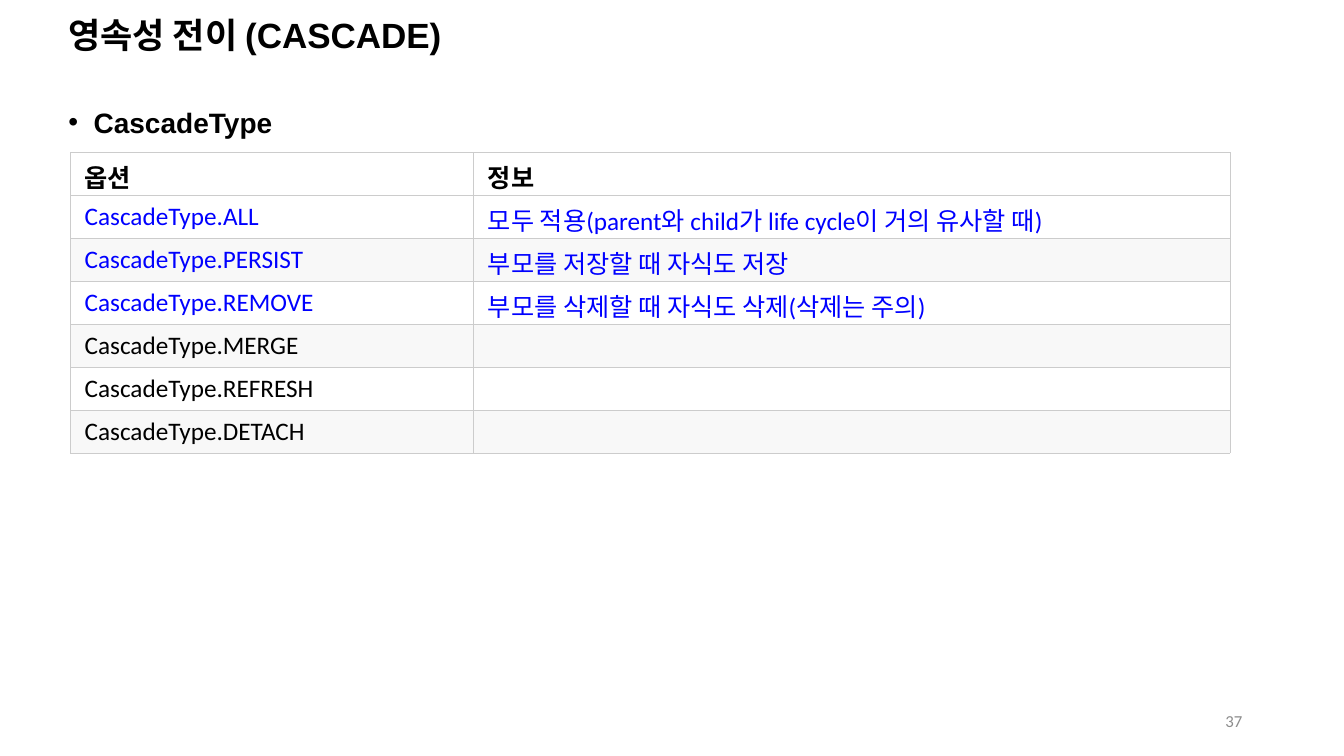
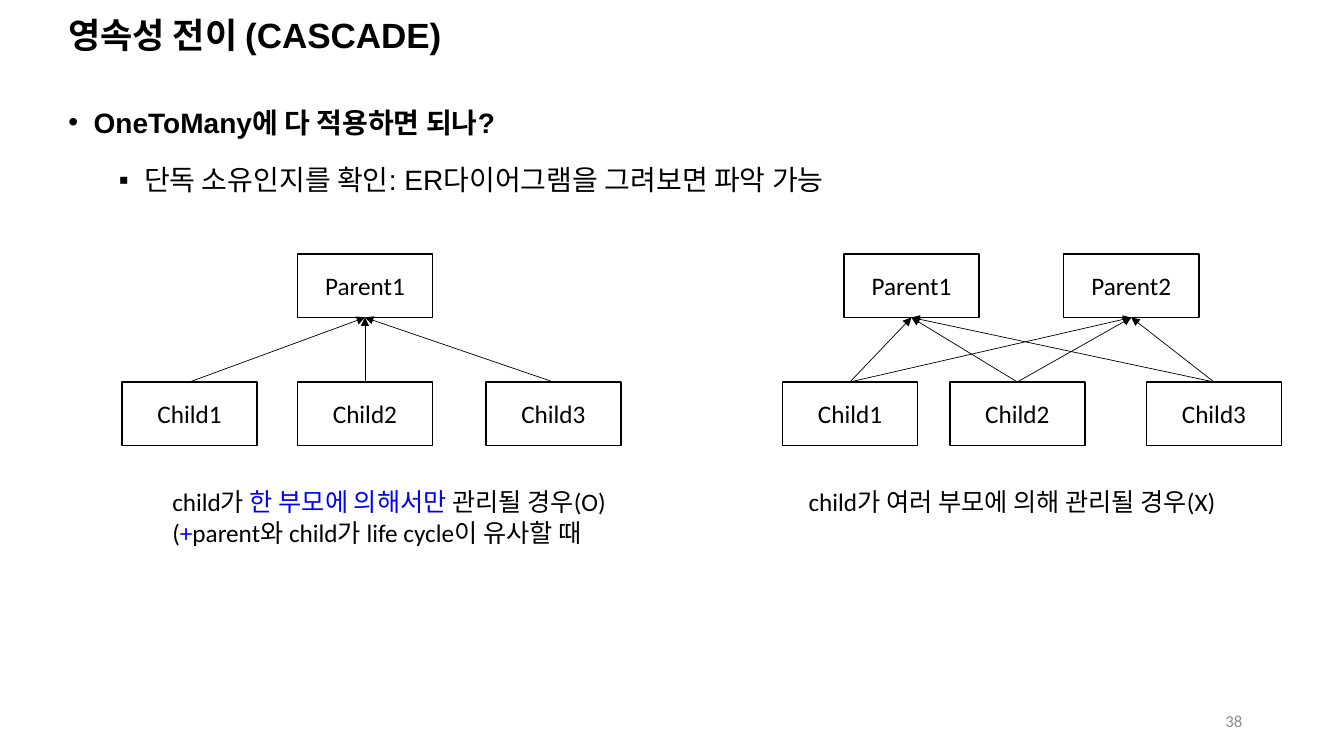
from lxml import etree
from pptx import Presentation
from pptx.dml.color import RGBColor
from pptx.enum.shapes import MSO_CONNECTOR, MSO_SHAPE
from pptx.enum.text import MSO_ANCHOR, MSO_AUTO_SIZE, PP_ALIGN
from pptx.oxml import parse_xml
from pptx.oxml.ns import nsdecls, qn
from pptx.util import Inches, Pt

BLACK = RGBColor(0x00, 0x00, 0x00)
WHITE = RGBColor(0xFF, 0xFF, 0xFF)
BLUE = RGBColor(0x00, 0x00, 0xFF)
GREY = RGBColor(0x8C, 0x8C, 0x8C)
BAND = RGBColor(0xF8, 0xF8, 0xF8)
BORDER = RGBColor(0xCC, 0xCC, 0xCC)
HEADING_FONT, TEXT_FONT = "Arial", "Calibri"

presentation = Presentation()
presentation.slide_width = Inches(13.33)
presentation.slide_height = Inches(7.5)
# Every length below is a percentage of the slide's width or height.
COLUMN = presentation.slide_width / 100
ROW = presentation.slide_height / 100


def place(left, top, width, height):
    """Turn shares of the slide into left, top, width and height."""
    return int(left * COLUMN), int(top * ROW), int(width * COLUMN), int(height * ROW)


def style(paragraph, size, color=BLACK, bold=False, name=TEXT_FONT):
    font = paragraph.font
    font.name, font.size, font.bold = name, Pt(size), bold
    font.color.rgb = color


# Title, bullets and page number
pages = [
    (37, ["CascadeType"]),
    (38, ["OneToMany에 다 적용하면 되나?",
          "단독 소유인지를 확인: ER다이어그램을 그려보면 파악 가능"]),
]
# Bullet, left margin in inches, bold
bullet_levels = [("•", 0.25, True), ("▪", 0.75, False)]
slides = []
for number, bullets in pages:
    slide = presentation.slides.add_slide(presentation.slide_layouts[5])
    slides.append(slide)

    title = slide.shapes.title
    title.left, title.top, title.width, title.height = place(4.35, 2.4, 86.27, 5.07)
    title.text_frame.text = "영속성 전이 (CASCADE)"
    title.text_frame.auto_size = MSO_AUTO_SIZE.NONE
    title.text_frame.vertical_anchor = MSO_ANCHOR.MIDDLE
    paragraph = title.text_frame.paragraphs[0]
    paragraph.alignment = PP_ALIGN.LEFT
    paragraph.line_spacing = 0.9
    style(paragraph, 25, bold=True, name=HEADING_FONT)

    body = slide.shapes.add_textbox(*place(4.35, 11.07, 92.95, 85.87)).text_frame
    body.word_wrap = True
    body.text = "\n".join(bullets)
    for level, paragraph in enumerate(body.paragraphs):
        symbol, margin, bold = bullet_levels[level]
        paragraph.level = level
        paragraph.line_spacing = 1.5
        if level:
            paragraph.space_before = Pt(5)
        properties = paragraph._p.get_or_add_pPr()
        properties.set("marL", str(Inches(margin)))
        properties.set("indent", str(-Inches(0.25)))
        etree.SubElement(properties, qn("a:buFont")).set("typeface", HEADING_FONT)
        etree.SubElement(properties, qn("a:buChar")).set("char", symbol)
        style(paragraph, 20, bold=bold, name=HEADING_FONT)

    footer = slide.shapes.add_textbox(*place(70.67, 92.67, 22.5, 5.33)).text_frame
    footer.word_wrap = True
    footer.vertical_anchor = MSO_ANCHOR.MIDDLE
    footer.text = str(number)
    footer.paragraphs[0].alignment = PP_ALIGN.RIGHT
    style(footer.paragraphs[0], 12, GREY)

options_slide, ownership_slide = slides

# Table of cascade options
options = [
    ("옵션", "정보"),
    ("CascadeType.ALL", "모두 적용(parent와 child가 life cycle이 거의 유사할 때)"),
    ("CascadeType.PERSIST", "부모를 저장할 때 자식도 저장"),
    ("CascadeType.REMOVE", "부모를 삭제할 때 자식도 삭제(삭제는 주의)"),
    ("CascadeType.MERGE", ""),
    ("CascadeType.REFRESH", ""),
    ("CascadeType.DETACH", ""),
]
table = options_slide.shapes.add_table(
    len(options), 2, *place(5.25, 20.2, 86.27, 39.73)).table
table.first_row = table.horz_banding = False
for column, share in zip(table.columns, (30, 56.27)):
    column.width = int(share * COLUMN)
for row, texts in enumerate(options):
    for column, text in enumerate(texts):
        cell = table.cell(row, column)
        cell.text = text
        cell.vertical_anchor = MSO_ANCHOR.MIDDLE
        cell.margin_left = cell.margin_right = Inches(0.14)
        cell.margin_top = cell.margin_bottom = Inches(0.06)
        cell.fill.solid()
        cell.fill.fore_color.rgb = BAND if row > 1 and row % 2 == 0 else WHITE
        style(cell.text_frame.paragraphs[0], 18,
              BLUE if 1 <= row <= 3 else BLACK, bold=row == 0)
        for position, side in enumerate(("lnL", "lnR", "lnT", "lnB")):
            cell._tc.get_or_add_tcPr().insert(position, parse_xml(
                f'<a:{side} {nsdecls("a")} w="{Pt(0.75)}"><a:solidFill>'
                f'<a:srgbClr val="{BORDER}"/></a:solidFill></a:{side}>'))

# Ownership diagrams: each child points to every parent
BOX_WIDTH, BOX_HEIGHT = 10.05, 8.4
PARENT_TOP, CHILD_TOP = 33.6, 50.53
diagrams = [
    ([22.13], [9.08, 22.13, 36.15]),
    ([62.79, 79.15], [58.22, 70.67, 85.3]),
]
for diagram in diagrams:
    families = []
    for kind, top, lefts in zip(("Parent", "Child"), (PARENT_TOP, CHILD_TOP), diagram):
        boxes = []
        for index, left in enumerate(lefts, 1):
            box = ownership_slide.shapes.add_shape(
                MSO_SHAPE.RECTANGLE, *place(left, top, BOX_WIDTH, BOX_HEIGHT))
            box.shadow.inherit = False
            box.fill.background()
            box.line.color.rgb = BLACK
            box.line.width = Pt(1)
            box.text_frame.text = f"{kind}{index}"
            box.text_frame.vertical_anchor = MSO_ANCHOR.MIDDLE
            paragraph = box.text_frame.paragraphs[0]
            paragraph.alignment = PP_ALIGN.CENTER
            style(paragraph, 18)
            boxes.append(box)
        families.append(boxes)

    parents, children = families
    for parent in parents:
        for child in children:
            arrow = ownership_slide.shapes.add_connector(MSO_CONNECTOR.STRAIGHT, 0, 0, 0, 0)
            arrow.begin_connect(child, 0)
            arrow.end_connect(parent, 2)
            arrow.line.color.rgb = BLACK
            arrow.line.width = Pt(0.5)
            line = arrow.line._get_or_add_ln()
            etree.SubElement(line, qn("a:tailEnd")).set("type", "triangle")
            etree.SubElement(arrow._element.spPr, qn("a:effectLst"))

# Captions: paragraphs made of text runs with their colours
captions = [
    (place(12.08, 63.73, 36.3, 9.47), [
        [("child가 ", BLACK), ("한 부모에 의해서만", BLUE), (" 관리될 경우(O)", BLACK)],
        [("(", BLACK), ("+", BLUE), ("parent와 child가 life cycle이 유사할 때", BLACK)],
    ]),
    (place(59.42, 63.73, 34.13, 5.33), [
        [("child가 여러 부모에 의해 관리될 경우(X)", BLACK)],
    ]),
]
for area, lines in captions:
    caption = ownership_slide.shapes.add_textbox(*area).text_frame
    caption.word_wrap = True
    for index, runs in enumerate(lines):
        paragraph = caption.add_paragraph() if index else caption.paragraphs[0]
        style(paragraph, 18)
        for text, color in runs:
            run = paragraph.add_run()
            run.text = text
            run.font.color.rgb = color

presentation.save("out.pptx")
